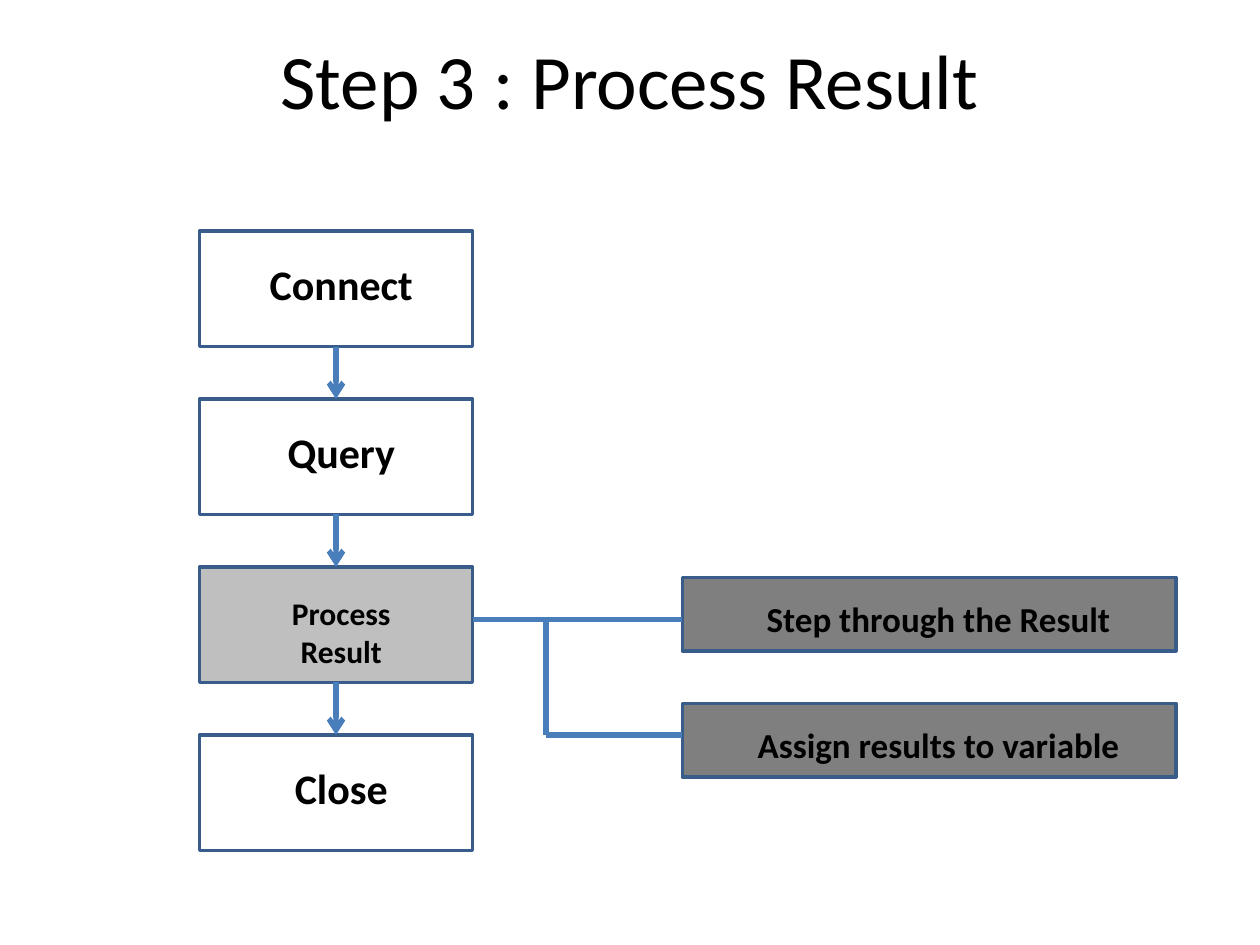
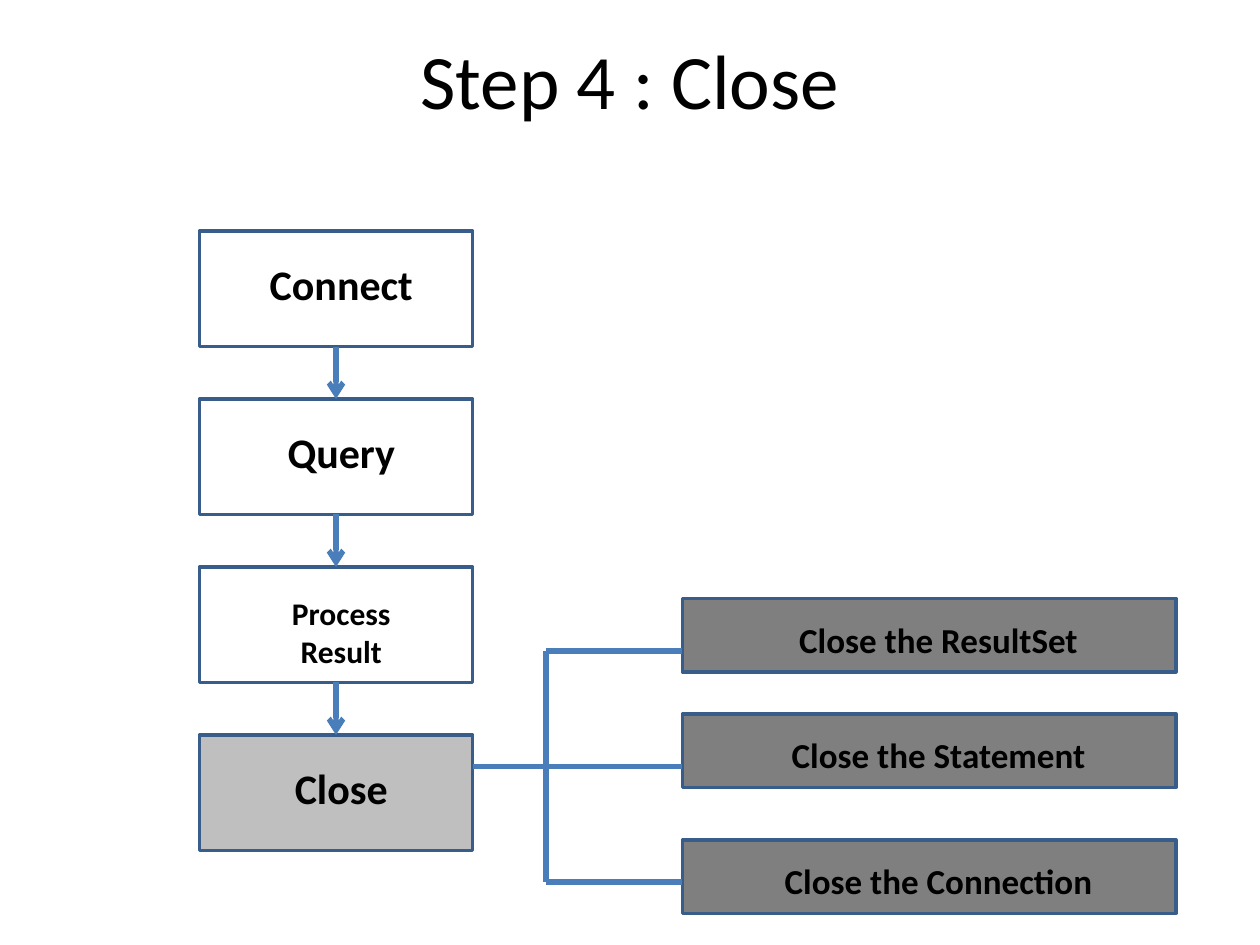
from lxml.etree import SubElement
from pptx import Presentation
from pptx.dml.color import RGBColor
from pptx.enum.shapes import MSO_CONNECTOR, MSO_SHAPE
from pptx.enum.text import MSO_ANCHOR, PP_ALIGN
from pptx.oxml.ns import qn
from pptx.util import Pt

RECT = MSO_SHAPE.RECTANGLE
LINE = MSO_CONNECTOR.STRAIGHT
CENTER = PP_ALIGN.CENTER
TOP, MIDDLE = MSO_ANCHOR.TOP, MSO_ANCHOR.MIDDLE

FONT = "Calibri"
BLACK, WHITE, LIGHT, DARK = "000000", "FFFFFF", "BFBFBF", "7F7F7F"
EDGE, LINK = "385D8A", "4A7EBB"

STEPS = ["Connect", "Query", "Process\nResult", "Close"]
LEFT, FIRST, WIDE, HIGH, PITCH = 114, 132, 156, 66, 96
RIGHT, TRUNK = 390, 312


def color(code):
    """Turn a hex string into a colour."""
    return RGBColor.from_string(code)


def write(frame, text, size=24, bold=True, anchor=TOP):
    """Fill a text frame with centred lines in one format."""
    frame.word_wrap = True
    frame.vertical_anchor = anchor
    frame.text = text
    for para in frame.paragraphs:
        para.alignment = CENTER
        font = para.runs[0].font
        font.name, font.size, font.bold = FONT, Pt(size), bold
        font.color.rgb = color(BLACK)


class Deck:
    """Hold the presentation, its style and the current slide."""

    def __init__(self):
        """Start an empty 10 by 7.5 inch deck."""
        self.prs = Presentation()
        self.prs.slide_width, self.prs.slide_height = Pt(720), Pt(540)
        self.slide = None

    def page(self, title):
        """Add a blank slide with its title."""
        self.slide = self.prs.slides.add_slide(self.prs.slide_layouts[6])
        area = self.slide.shapes.add_textbox(Pt(36), Pt(0), Pt(648), Pt(90))
        write(area.text_frame, title, size=44, bold=False, anchor=MIDDLE)

    def box(self, frame, label, text, fill, size):
        """Add a group of an outlined box and its label."""
        group = self.slide.shapes.add_group_shape()
        rect = group.shapes.add_shape(RECT, *map(Pt, frame))
        rect.shadow.inherit = False
        rect.fill.solid()
        rect.fill.fore_color.rgb = color(fill)
        rect.line.color.rgb = color(EDGE)
        rect.line.width = Pt(2)
        area = group.shapes.add_textbox(*map(Pt, label))
        write(area.text_frame, text, size=size)

    def link(self, start, end, arrow=False):
        """Add a straight line, with an arrowhead if asked."""
        line = self.slide.shapes.add_connector(LINE, *map(Pt, start + end))
        line.line.color.rgb = color(LINK)
        line.line.width = Pt(3)
        props = line.element.spPr
        if arrow:
            SubElement(props.get_or_add_ln(), qn("a:tailEnd"), type="arrow")
        SubElement(props, qn("a:effectLst"))

    def flow(self, active):
        """Draw the column of steps with the active one shaded."""
        for i, step in enumerate(STEPS):
            top = FIRST + i * PITCH
            fill = LIGHT if i == active else WHITE
            size, tall = (18, 50.4) if "\n" in step else (24, 36)
            self.box((LEFT, top, WIDE, HIGH), (132, top + 12, 126, tall),
                     step, fill, size)
            if i:
                mid = LEFT + WIDE / 2
                self.link((mid, top - PITCH + HIGH), (mid, top), arrow=True)

    def tasks(self, root, items):
        """Draw task boxes and the lines that join them to a step."""
        for text, top, join in items:
            self.box((RIGHT, top, 282, 42), (422.6, top + 7.6, 227.5, 31.6),
                     text, DARK, 20)
            start = LEFT + WIDE if join == root else TRUNK
            self.link((start, join), (RIGHT, join))
            if join != root:
                self.link((TRUNK, root), (TRUNK, join))


def main():
    """Build both slides and save them."""
    deck = Deck()
    pages = [
        ("Step 3 : Process Result", 2, 354,
         [("Step through the Result", 330, 354),
          ("Assign results to variable", 402, 420)]),
        ("Step 4 : Close", 3, 438,
         [("Close the ResultSet", 342, 372),
          ("Close the Statement", 408, 438),
          ("Close the Connection", 480, 504)]),
    ]
    for title, active, root, items in pages:
        deck.page(title)
        deck.flow(active)
        deck.tasks(root, items)
    deck.prs.save("out.pptx")


if __name__ == "__main__":
    main()
